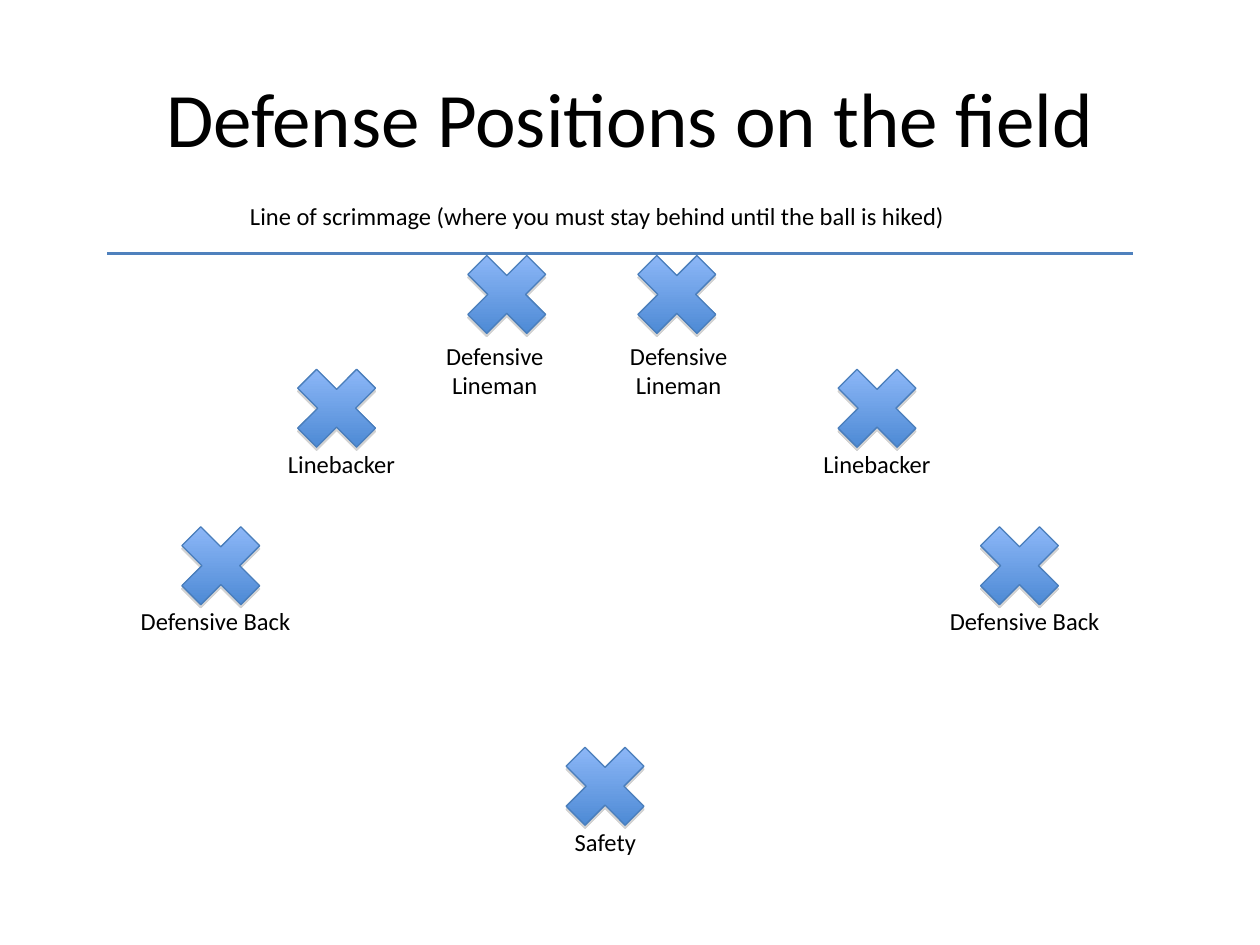
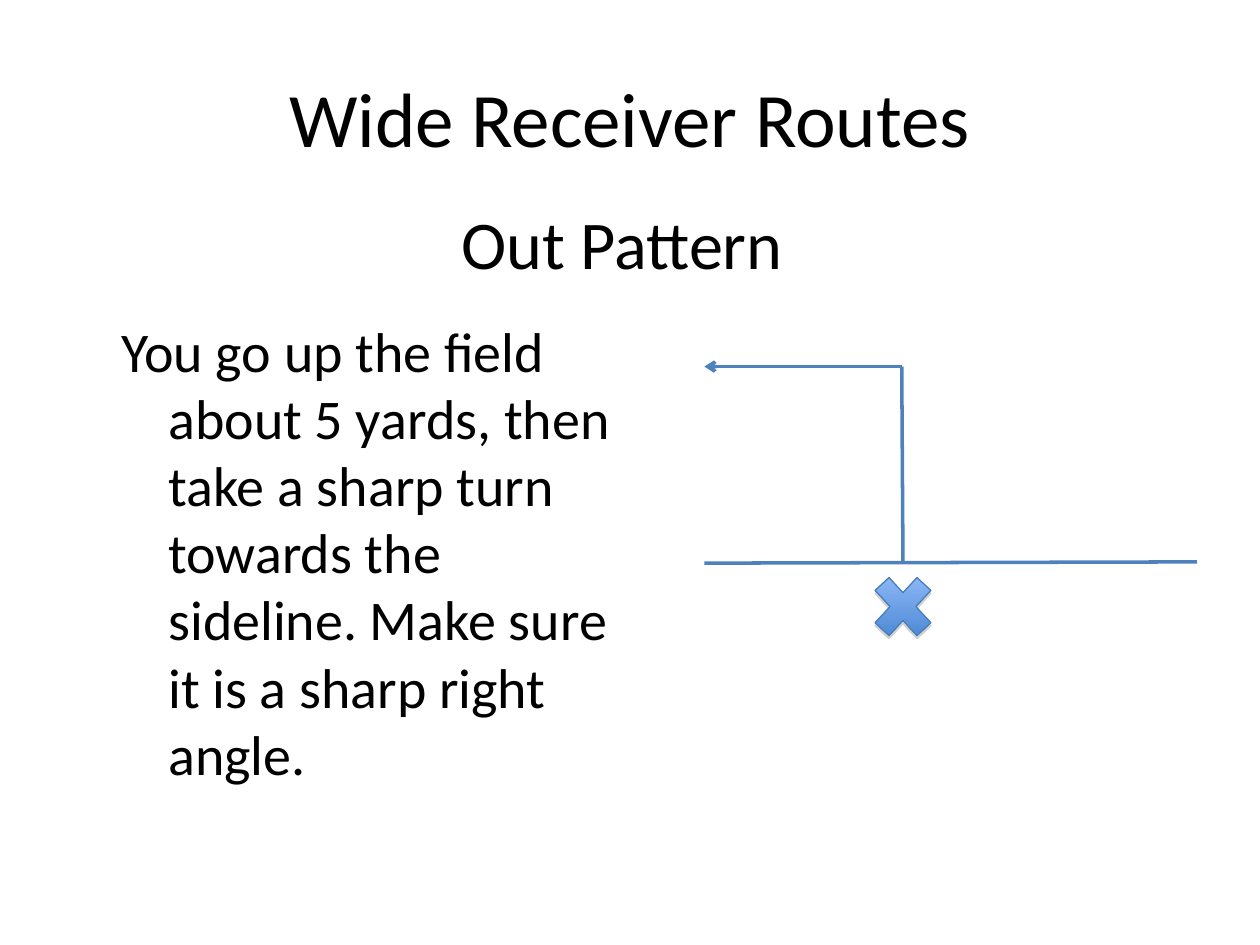
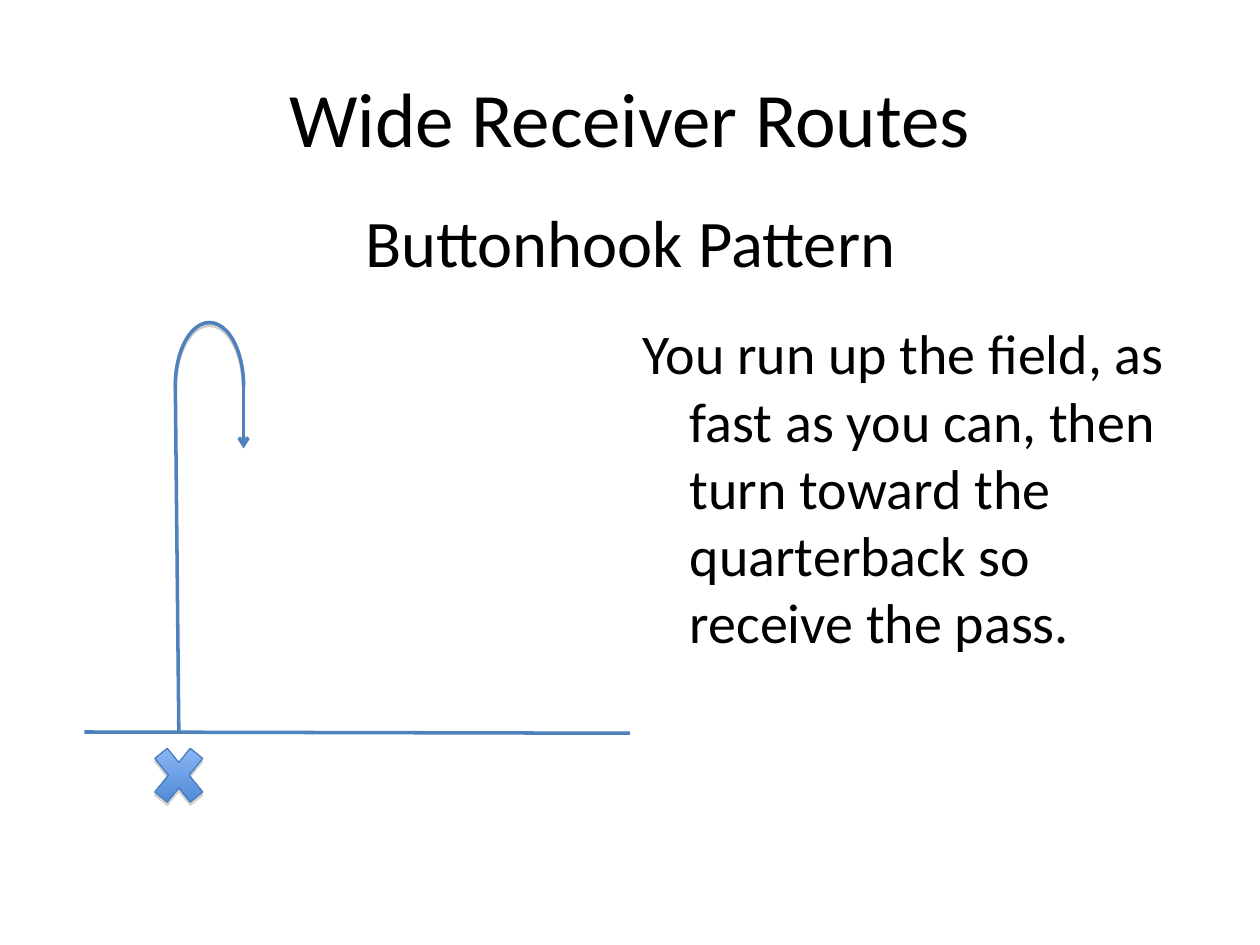
from lxml.etree import SubElement
from pptx import Presentation
from pptx.dml.color import RGBColor
from pptx.enum.shapes import MSO_CONNECTOR, MSO_SHAPE
from pptx.enum.text import MSO_ANCHOR, MSO_AUTO_SIZE, PP_ALIGN
from pptx.oxml.ns import qn
from pptx.util import Pt

FONT = "Calibri"
BLACK = "000000"
ROUTE_BLUE = "4F81BD"
MARK_EDGE = "4A7EBB"
MARK_GRADIENT = ("9BC1FF", "3F80CD")
SHADOW_GRAY = "808080"
TITLE_BOX = (36, 21.6, 648, 90)
TITLE_ONLY, TITLE_AND_BODY = 5, 1
ROUTES_TITLE = "Wide Receiver Routes"


def color(hex_string):
    return RGBColor.from_string(hex_string)


def place(shape, box):
    shape.left, shape.top, shape.width, shape.height = map(Pt, box)


def inside(box, left, top, width, height):
    return box[0] + left, box[1] + top, width, height


def write(shape, text, size, align=PP_ALIGN.CENTER, anchor=MSO_ANCHOR.TOP):
    frame = shape.text_frame
    frame.text = text
    frame.word_wrap = True
    frame.auto_size = MSO_AUTO_SIZE.NONE
    frame.vertical_anchor = anchor
    paragraph = frame.paragraphs[0]
    paragraph.alignment = align
    paragraph.font.name = FONT
    paragraph.font.size = Pt(size)
    paragraph.font.color.rgb = color(BLACK)
    return paragraph


def add_titled_slide(presentation, layout, title):
    slide = presentation.slides.add_slide(presentation.slide_layouts[layout])
    place(slide.shapes.title, TITLE_BOX)
    write(slide.shapes.title, title, 44, anchor=MSO_ANCHOR.MIDDLE)
    return slide


def add_label(slide, box, text, size=14, anchor=MSO_ANCHOR.TOP):
    label = slide.shapes.add_textbox(*map(Pt, box))
    return write(label, text, size, anchor=anchor)


def write_body(slide, box, text):
    body = slide.placeholders[1]
    place(body, box)
    paragraph = write(body, text, 32, PP_ALIGN.LEFT)
    paragraph.space_before = Pt(8)
    properties = paragraph._p.get_or_add_pPr()
    properties.set("marL", str(Pt(27)))
    properties.set("indent", str(Pt(-27)))
    SubElement(properties, qn("a:buNone"))


def add_shadow(shape, opacity, distance):
    shape.shadow.inherit = False
    effects = shape._element.spPr.find(qn("a:effectLst"))
    shadow = SubElement(effects, qn("a:outerShdw"), dist=str(Pt(distance)),
                        dir="5400000", rotWithShape="0")
    shade = SubElement(shadow, qn("a:srgbClr"), val=SHADOW_GRAY)
    SubElement(shade, qn("a:alpha"), val=str(opacity * 1000))


def add_player(slide, box):
    player = slide.shapes.add_shape(MSO_SHAPE.MATH_MULTIPLY, *map(Pt, box))
    player.fill.gradient()
    player.fill.gradient_angle = 270
    for stop, shade in zip(player.fill.gradient_stops, MARK_GRADIENT):
        stop.color.rgb = color(shade)
    player.line.color.rgb = color(MARK_EDGE)
    player.line.width = Pt(0.75)
    add_shadow(player, 35, 1.8)


def add_line(slide, box, start, end, arrow=False):
    points = [Pt(origin + offset) for point in (start, end) for origin, offset in zip(box, point)]
    line = slide.shapes.add_connector(MSO_CONNECTOR.STRAIGHT, *points)
    line.line.color.rgb = color(ROUTE_BLUE)
    line.line.width = Pt(2)
    if arrow:
        SubElement(line.line._get_or_add_ln(), qn("a:tailEnd"), type="arrow")
    SubElement(line._element.spPr, qn("a:effectLst"))


def add_hook(slide, box):
    hook = slide.shapes.add_shape(MSO_SHAPE.ARC, *map(Pt, box))
    hook.adjustments[0] = 106
    hook.adjustments[1] = 0
    hook.fill.background()
    hook.line.color.rgb = color(ROUTE_BLUE)
    hook.line.width = Pt(2)
    add_shadow(hook, 38, 1.6)


def draw_defense(slide, box):
    add_line(slide, box, (0, 0), (box[2], 0))
    rows = [
        ("Defensive Lineman", -9, (196, 293.2), 46, (179.5, 284.6), 84, 41),
        ("Linebacker", 56, (98.8, 407.6), 108.4, (72, 378), 124, 24.5),
        ("Defensive Back", 146, (32.6, 489), 198, (0, 462.4), 124, 24.5),
        ("Safety", 272, (252.2,), 324.4, (245.7,), 78, 24.5),
    ]
    for name, player_top, player_lefts, label_top, label_lefts, width, height in rows:
        anchor = MSO_ANCHOR.MIDDLE if height > 30 else MSO_ANCHOR.TOP
        for player_left, label_left in zip(player_lefts, label_lefts):
            add_player(slide, inside(box, player_left, player_top, 64.8, 64.8))
            add_label(slide, inside(box, label_left, label_top, width, height), name, anchor=anchor)


def draw_out_route(slide, box):
    scrimmage, runner = 112.3, 113.5
    add_line(slide, box, (0, scrimmage), (box[2], scrimmage - 0.7))
    add_player(slide, inside(box, runner - 23, scrimmage, 46, 49.7))
    add_line(slide, box, (runner, scrimmage), (runner - 0.7, 0))
    add_line(slide, box, (runner - 0.7, 0), (0, 0), arrow=True)


def draw_buttonhook_route(slide, box):
    scrimmage, runner, hook_left, hook_width, turn = 234, 54, 52, 39, 36
    add_line(slide, box, (0, scrimmage), (box[2], scrimmage + 0.7))
    add_line(slide, box, (runner, scrimmage), (hook_left, turn))
    add_hook(slide, inside(box, hook_left, 0, hook_width, 2 * turn))
    hook_right = hook_left + hook_width
    add_line(slide, box, (hook_right, turn), (hook_right, 2 * turn), arrow=True)
    add_player(slide, inside(box, runner - 19.5, scrimmage + 0.7, 39, 48))


def build_defense_slide(presentation):
    slide = add_titled_slide(presentation, TITLE_ONLY, "Defense Positions on the field")
    caption = add_label(slide, (126, 111.6, 430.6, 24.5),
                        "Line of scrimmage (where you must stay behind until the ball is hiked)")
    caption.space_before = Pt(3.5)
    draw_defense(slide, (61.2, 144.9, 586, 350))


def build_route_slide(presentation, pattern, pattern_box, size, text, text_box, draw, route_box):
    slide = add_titled_slide(presentation, TITLE_AND_BODY, ROUTES_TITLE)
    write_body(slide, text_box, text)
    add_label(slide, pattern_box, pattern, size)
    draw(slide, route_box)


def main():
    presentation = Presentation()
    presentation.slide_width, presentation.slide_height = Pt(720), Pt(540)
    build_defense_slide(presentation)
    build_route_slide(
        presentation, "Out Pattern", (195, 111.6, 321, 54), 39,
        "You go up the field about 5 yards, then take a sharp turn towards the sideline. "
        "Make sure it is a sharp right angle.",
        (62, 177, 309.6, 287.3), draw_out_route, (402.5, 209.5, 281.5, 162))
    build_route_slide(
        presentation, "Buttonhook Pattern", (188.6, 111.6, 343.4, 53.3), 38,
        "You run up the field, as fast as you can, then turn toward the quarterback "
        "so receive the pass.",
        (360, 178.6, 324, 239.8), draw_buttonhook_route, (48.2, 184.3, 311.8, 283))
    presentation.save("out.pptx")


if __name__ == "__main__":
    main()
